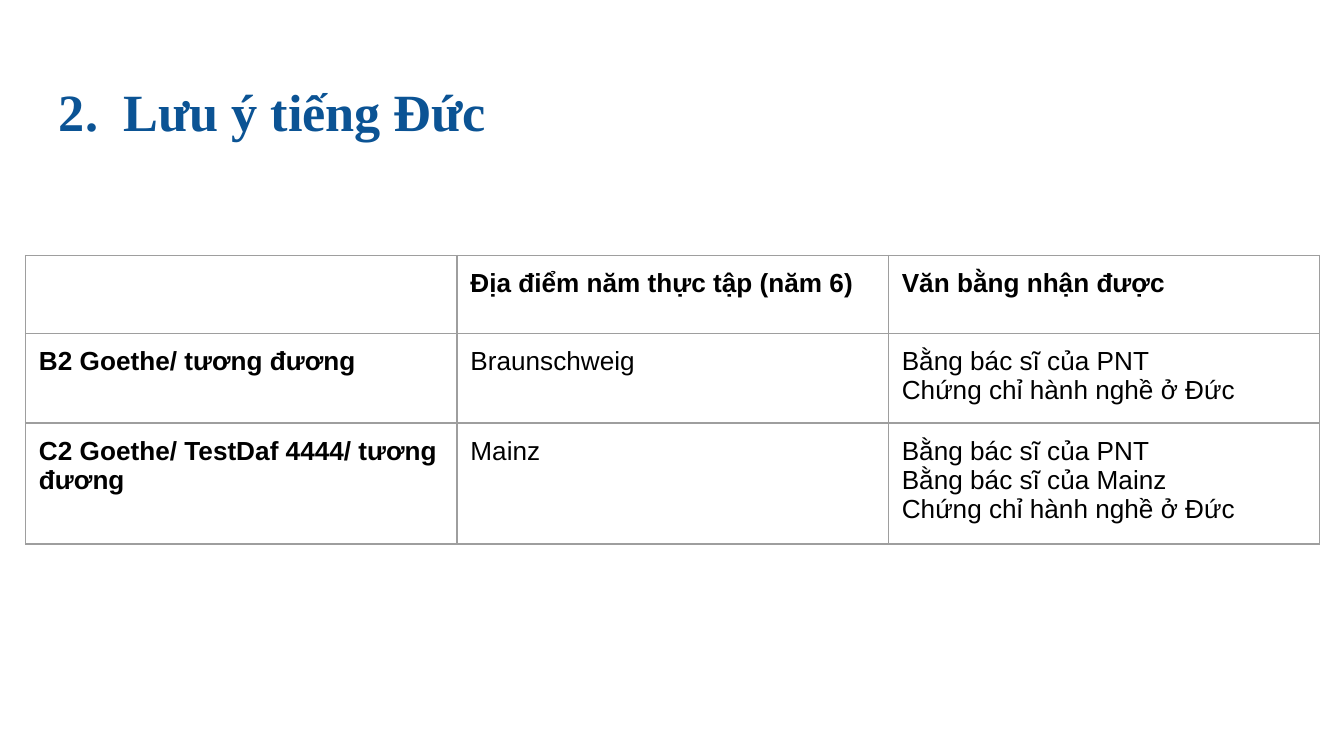
from lxml.etree import SubElement as Sub
from pptx import Presentation
from pptx.dml.color import RGBColor
from pptx.enum.text import MSO_ANCHOR as Anchor
from pptx.oxml.ns import qn
from pptx.util import Inches, Pt

BLUE = RGBColor(0x0B, 0x53, 0x94)
BLACK = RGBColor(0x00, 0x00, 0x00)
GRAY = RGBColor(0x9E, 0x9E, 0x9E)

CERTIFICATES = [
    ["", "Địa điểm năm thực tập (năm 6)", "Văn bằng nhận được"],
    ["B2 Goethe/ tương đương", "Braunschweig",
     "Bằng bác sĩ của PNT\nChứng chỉ hành nghề ở Đức"],
    ["C2 Goethe/ TestDaf 4444/ tương đương", "Mainz",
     "Bằng bác sĩ của PNT\nBằng bác sĩ của Mainz\nChứng chỉ hành nghề ở Đức"],
]


class SlideBuilder:
    """Style and current slide, with one method per kind of element."""

    heading_font = "Times New Roman"
    body_font = "Arial"
    inset = Inches(0.1)

    def __init__(self, slide):
        self.slide = slide

    def add_run(self, paragraph, text, font, size, color, bold):
        run = paragraph.add_run()
        run.text = text
        run.font.name = font
        run.font.size = Pt(size)
        run.font.bold = bold
        run.font.color.rgb = color
        Sub(paragraph._p, qn("a:endParaRPr"), sz=str(size * 100))

    def set_margins(self, holder):
        holder.margin_left = holder.margin_right = self.inset
        holder.margin_top = holder.margin_bottom = self.inset

    def heading(self, text, left, top, width, height, tab):
        frame = self.slide.shapes.add_textbox(
            Inches(left), Inches(top), Inches(width), Inches(height)).text_frame
        frame.word_wrap = True
        frame.vertical_anchor = Anchor.TOP
        self.set_margins(frame)
        paragraph = frame.paragraphs[0]
        stops = Sub(paragraph._p.get_or_add_pPr(), qn("a:tabLst"))
        Sub(stops, qn("a:tab"), pos=str(Inches(tab)), algn="l")
        self.add_run(paragraph, text, self.heading_font, 28, BLUE, True)

    def border(self, cell):
        properties = cell._tc.get_or_add_tcPr()
        for side in ("a:lnL", "a:lnR", "a:lnT", "a:lnB"):
            line = Sub(properties, qn(side), w=str(Pt(0.75)))
            Sub(Sub(line, qn("a:solidFill")), qn("a:srgbClr"), val=str(GRAY))

    def cell(self, cell, text, bold):
        self.set_margins(cell)
        cell.vertical_anchor = Anchor.TOP
        self.border(cell)
        cell.fill.background()
        frame = cell.text_frame
        for index, line in enumerate(text.split("\n") if text else []):
            paragraph = frame.add_paragraph() if index else frame.paragraphs[0]
            self.add_run(paragraph, line, self.body_font, 14, BLACK, bold)

    def table(self, rows, left, top, side, column_width, row_height):
        holder = self.slide.shapes.add_table(
            len(rows), len(rows[0]), Inches(left), Inches(top),
            Inches(side), Inches(side))
        table = holder.table
        table.first_row = table.horz_banding = False
        for column in table.columns:
            column.width = Inches(column_width)
        for r, texts in enumerate(rows):
            table.rows[r].height = Inches(row_height)
            for c, text in enumerate(texts):
                self.cell(table.cell(r, c), text, r == 0 or c == 0)
        holder.width = holder.height = Inches(side)


def main():
    deck = Presentation()
    deck.slide_width = Inches(10)
    deck.slide_height = deck.slide_width * 9 // 16
    builder = SlideBuilder(deck.slides.add_slide(deck.slide_layouts[6]))
    builder.heading("2.\tLưu ý tiếng Đức", 0.34, 0.49, 9.32, 0.63, tab=0.48)
    builder.table(CERTIFICATES, 0.19, 1.9, side=3.28,
                  column_width=3.21, row_height=0.58)
    deck.save("out.pptx")


if __name__ == "__main__":
    main()
